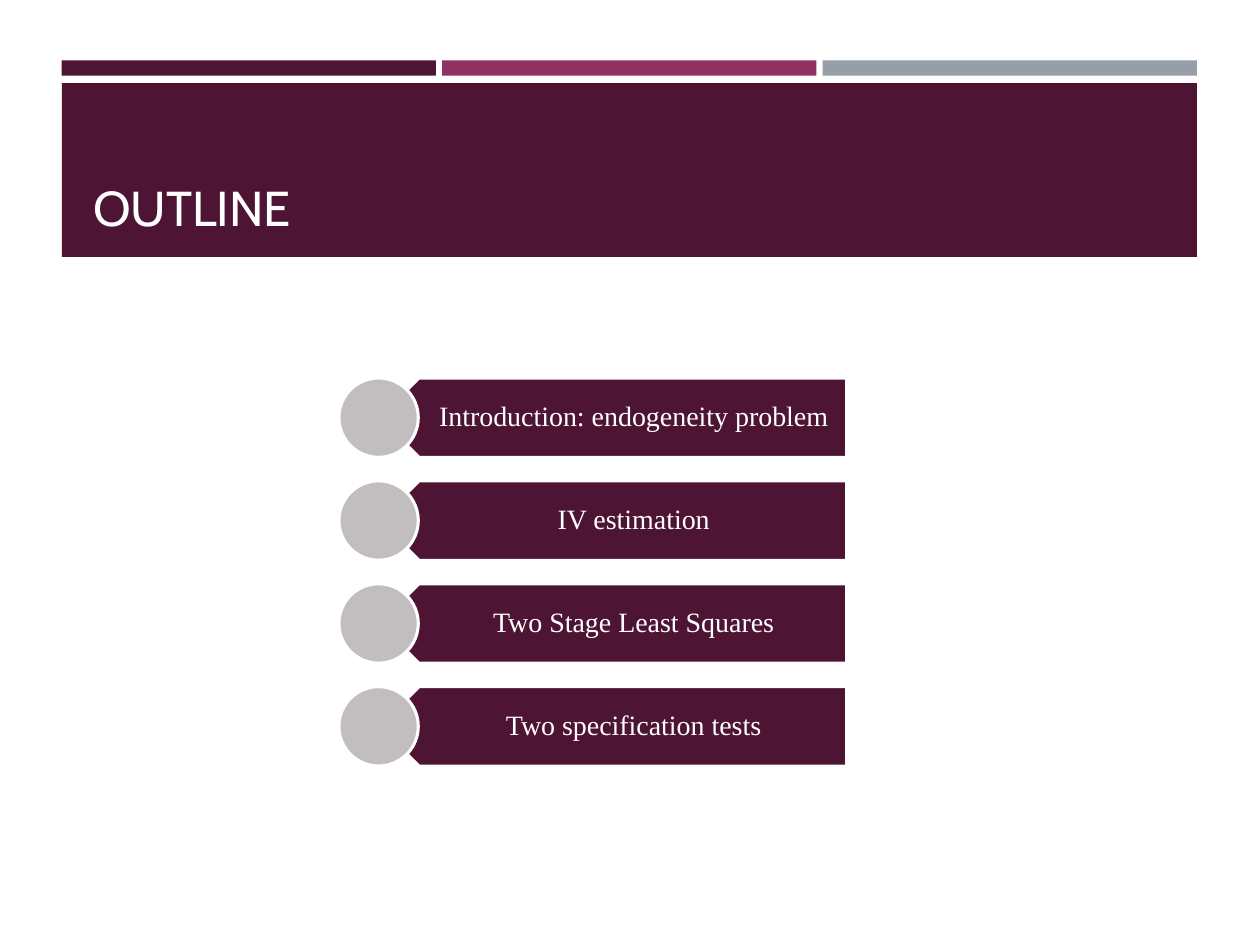
"""Build the outline slide with a banner title and four topic arrows."""
from pptx import Presentation
from pptx import util as u
from pptx.dml.color import RGBColor
from pptx.enum import shapes, text

PLUM = RGBColor(0x4D, 0x14, 0x34)
MAGENTA = RGBColor(0x90, 0x31, 0x63)
GREY = RGBColor(0x96, 0x9F, 0xA7)
PALE = RGBColor(0xC2, 0xBD, 0xBF)
WHITE = RGBColor(0xFF, 0xFF, 0xFF)
SHAPE = shapes.MSO_SHAPE
TOPICS = ["Introduction: endogeneity problem", "IV estimation",
          "Two Stage Least Squares", "Two specification tests"]
TOPIC_TOP, TOPIC_STEP, TOPIC_HEIGHT = 3, 2.45 / 3, 0.63


def place(box, left, top, width, height):
    """Set the position and size of a box in inches."""
    box.left, box.top = u.Inches(left), u.Inches(top)
    box.width, box.height = u.Inches(width), u.Inches(height)


def add_block(parent, kind, bounds, fill, outline=None):
    """Add a filled preset shape with an optional outline colour."""
    block = parent.add_shape(kind, *map(u.Inches, bounds))
    block.shadow.inherit = False
    block.fill.solid()
    block.fill.fore_color.rgb = fill
    if outline is None:
        block.line.fill.background()
    else:
        block.line.color.rgb = outline
        block.line.width = u.Pt(1.75)
    return block


def write(box, words, *, font, size, align, anchor, margins=(0.1, 0.05, 0.1, 0.05), spacing=None):
    """Write one formatted white paragraph into a box."""
    frame = box.text_frame
    frame.word_wrap = True
    frame.auto_size = text.MSO_AUTO_SIZE.NONE
    frame.vertical_anchor = anchor
    (frame.margin_left, frame.margin_top,
     frame.margin_right, frame.margin_bottom) = map(u.Inches, margins)
    para = frame.paragraphs[0]
    para.alignment = align
    para.line_spacing = spacing
    span = para.add_run()
    span.text = words
    span.font.name = font
    span.font.size = u.Pt(size)
    span.font.color.rgb = WHITE


def add_banner(page):
    """Add the three accent bars and the title on its banner."""
    for left, colour in zip((0.49, 3.51, 6.53), (PLUM, MAGENTA, GREY)):
        add_block(page.shapes, SHAPE.RECTANGLE, (left, 0.48, 2.97, 0.12), colour)
    add_block(page.shapes, SHAPE.RECTANGLE, (0.49, 0.66, 9.01, 1.38), PLUM)
    title = page.shapes.title
    title.element.getparent().append(title.element)
    place(title, 0.64, 0.75, 8.74, 1.18)
    write(title, "OUTLINE", font="Cabin", size=28,
          align=text.PP_ALIGN.LEFT, anchor=text.MSO_ANCHOR.BOTTOM)


def add_topic(parent, words, top):
    """Add one topic: a left-pointing arrow, its label and a disc."""
    arrow = add_block(parent, SHAPE.PENTAGON, (3.01, top, 3.71, TOPIC_HEIGHT), PLUM, WHITE)
    arrow.rotation = 180
    label = parent.add_textbox(*map(u.Inches, (3.17, top, 3.56, TOPIC_HEIGHT)))
    write(label, words, font="Times New Roman", size=16, spacing=0.9,
          align=text.PP_ALIGN.CENTER, anchor=text.MSO_ANCHOR.MIDDLE,
          margins=(0.28, 0.07, 0.12, 0.07))
    add_block(parent, SHAPE.OVAL, (2.69, top, TOPIC_HEIGHT, TOPIC_HEIGHT), PALE, WHITE)


def main():
    """Create the deck and save it."""
    deck = Presentation()
    deck.slide_width, deck.slide_height = u.Inches(10), u.Inches(7.5)
    page = deck.slides.add_slide(deck.slide_layouts.get_by_name("Title Only"))
    add_banner(page)
    group = page.shapes.add_group_shape()
    for index, words in enumerate(TOPICS):
        add_topic(group.shapes, words, TOPIC_TOP + index * TOPIC_STEP)
    deck.save("out.pptx")


if __name__ == "__main__":
    main()
